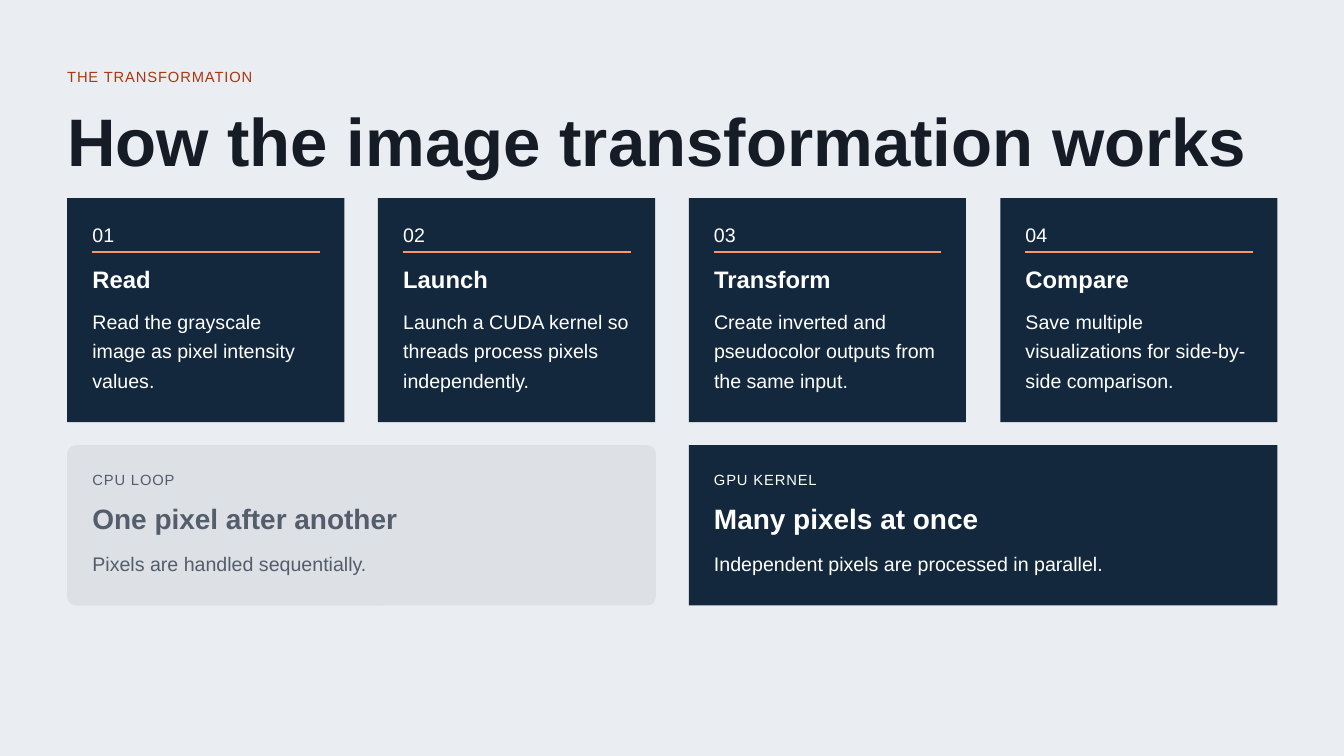
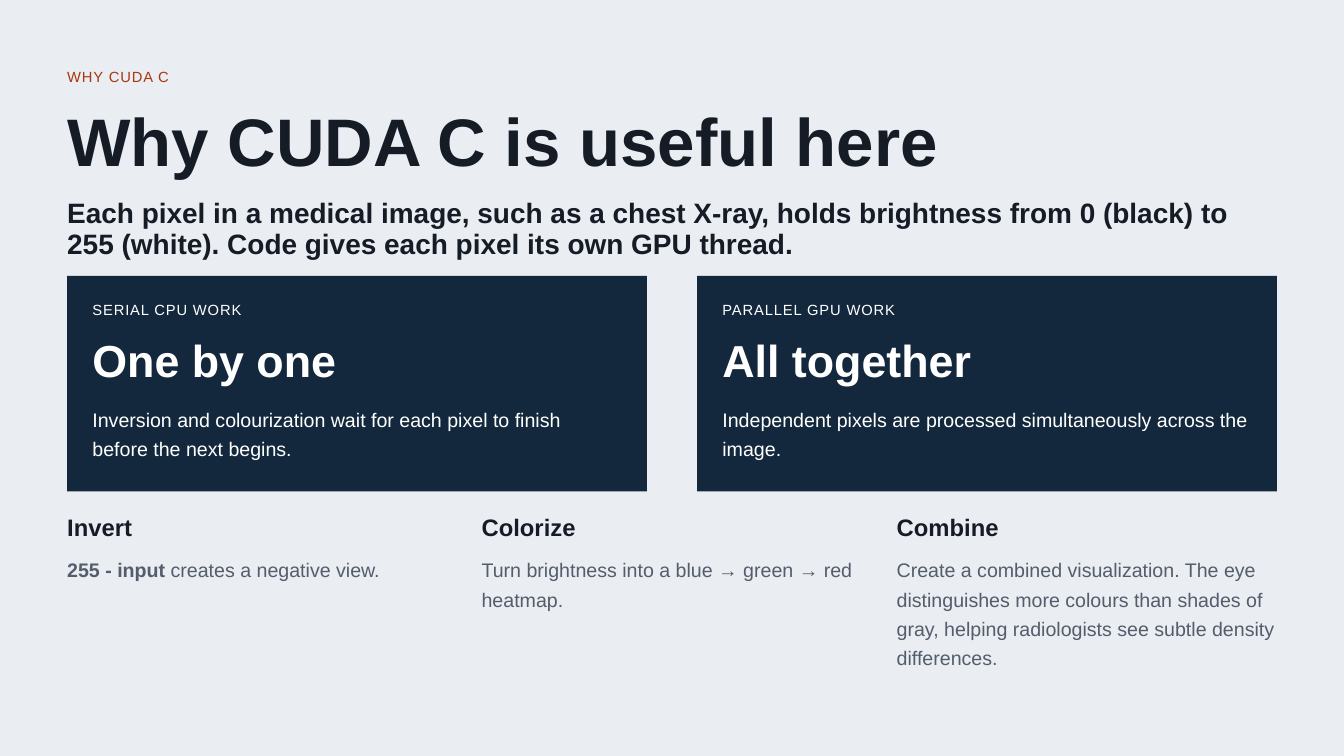
"""Build two slides on image transformation with CUDA C."""
from pptx import Presentation
from pptx.dml.color import RGBColor
from pptx.enum.shapes import MSO_CONNECTOR, MSO_SHAPE
from pptx.enum.text import MSO_ANCHOR, MSO_AUTO_SIZE, PP_ALIGN
from pptx.oxml.ns import qn
from pptx.util import Pt
from lxml import etree

PX = 9525
LEFT, CONTENT_WIDTH, GAP, PADDING = 96, 1729, 48, 36
PAPER, INK, NAVY, WHITE = "EAEDF2", "161C26", "13283D", "FFFFFF"
RUST, CORAL, SLATE, MIST = "A8380F", "FF9466", "545D6B", "DDE0E5"

# size, line spacing, bold, letter spacing in hundredths of a point
LABEL = (15.8, 23.6, False, 90)
TITLE = (72, 79.5, True, 0)
BIG_HEADING = (48, 53, True, 0)
HEADING = (30, 33.1, True, 0)
SUBHEADING = (25.5, 28.2, True, 0)
NUMBER = (21, 20.9, False, 0)
BODY = (21, 31.5, False, 0)


def write(slide, bounds, style, color, *texts, box=None):
    x, y, width, height = (value * PX for value in bounds)
    if box is None:
        box = slide.shapes.add_textbox(x, y, width, height)
    box.left, box.top, box.width, box.height = x, y, width, height
    frame = box.text_frame
    frame.word_wrap = True
    frame.auto_size = MSO_AUTO_SIZE.SHAPE_TO_FIT_TEXT
    frame.vertical_anchor = MSO_ANCHOR.TOP
    frame.margin_left = frame.margin_top = frame.margin_right = frame.margin_bottom = 0
    size, spacing, bold, tracking = style
    paragraph = frame.paragraphs[0]
    paragraph.alignment = PP_ALIGN.LEFT
    paragraph.line_spacing = Pt(spacing)
    for text in texts:
        run = paragraph.add_run()
        run.text = text
        run.font.name = "Arial"
        run.font.size = Pt(size)
        run.font.bold = bold
        run.font.color.rgb = RGBColor.from_string(color)
        if tracking:
            run.font._element.set("spc", str(tracking))
    return paragraph


def add_panel(slide, x, y, width, height, color, radius=0):
    kind = MSO_SHAPE.ROUNDED_RECTANGLE if radius else MSO_SHAPE.RECTANGLE
    panel = slide.shapes.add_shape(kind, x * PX, y * PX, width * PX, height * PX)
    if radius:
        panel.adjustments[0] = radius / height
    panel.shadow.inherit = False
    panel.fill.solid()
    panel.fill.fore_color.rgb = RGBColor.from_string(color)
    panel.line.fill.background()


prs = Presentation()
prs.slide_width, prs.slide_height = 1920 * PX, 1080 * PX
backdrop = prs.slide_master.background.fill
backdrop.solid()
backdrop.fore_color.rgb = RGBColor.from_string(PAPER)

slides = []
for kicker, title in [
    ("THE TRANSFORMATION", "How the image transformation works"),
    ("WHY CUDA C", "Why CUDA C is useful here"),
]:
    slide = prs.slides.add_slide(prs.slide_layouts[5])
    write(slide, (LEFT, 90, CONTENT_WIDTH, 37), LABEL, RUST, kicker)
    write(slide, (LEFT, 151, CONTENT_WIDTH, 102), TITLE, INK, title, box=slide.shapes.title)
    slides.append(slide)
transformation, usefulness = slides

steps = [
    ("Read", "Read the grayscale image as pixel intensity values."),
    ("Launch", "Launch a CUDA kernel so threads process pixels independently."),
    ("Transform", "Create inverted and pseudocolor outputs from the same input."),
    ("Compare", "Save multiple visualizations for side-by-side comparison."),
]
step_pitch = (CONTENT_WIDTH + GAP) / len(steps)
step_width = round(step_pitch) - GAP
for index, (name, detail) in enumerate(steps):
    x = LEFT + round(index * step_pitch)
    inner_x, inner_width = x + PADDING, step_width - 2 * PADDING + 1
    add_panel(transformation, x, 283, step_width, 320, NAVY)
    write(transformation, (inner_x, 324, 130, 24), NUMBER, WHITE, f"{index + 1:02}")
    rule = transformation.shapes.add_connector(
        MSO_CONNECTOR.STRAIGHT, inner_x * PX, 360 * PX, (inner_x + inner_width) * PX, 360 * PX)
    rule.line.color.rgb = RGBColor.from_string(CORAL)
    rule.line.width = Pt(2)
    etree.SubElement(rule._element.spPr, qn("a:effectLst"))
    write(transformation, (inner_x, 381, inner_width, 36), SUBHEADING, WHITE, name)
    write(transformation, (inner_x, 434, inner_width, 133), BODY, WHITE, detail)

approaches = [
    ("CPU LOOP", "One pixel after another", "Pixels are handled sequentially.", MIST, SLATE, 12),
    ("GPU KERNEL", "Many pixels at once", "Independent pixels are processed in parallel.", NAVY, WHITE, 0),
]
approach_pitch = (CONTENT_WIDTH + GAP) / len(approaches)
approach_width = round(approach_pitch) - GAP + 1
for index, (label, heading, detail, fill, color, radius) in enumerate(approaches):
    x = LEFT + round(index * approach_pitch)
    inner_x, inner_width = x + PADDING, approach_width - 2 * PADDING
    add_panel(transformation, x, 636, approach_width, 229, fill, radius)
    write(transformation, (inner_x, 666, inner_width, 37), LABEL, color, label)
    write(transformation, (inner_x, 721, inner_width, 43), HEADING, color, heading)
    write(transformation, (inner_x, 780, inner_width, 49), BODY, color, detail)

write(usefulness, (LEFT, 283, CONTENT_WIDTH, 87), HEADING, INK,
      "Each pixel in a medical image, such as a chest X-ray, holds brightness from 0 (black) "
      "to 255 (white). Code gives each pixel its own GPU thread.")

workloads = [
    ("SERIAL CPU WORK", "One by one",
     "Inversion and colourization wait for each pixel to finish before the next begins."),
    ("PARALLEL GPU WORK", "All together",
     "Independent pixels are processed simultaneously across the image."),
]
workload_gap = 72
workload_pitch = (CONTENT_WIDTH + workload_gap) / len(workloads)
workload_width = round(workload_pitch) - workload_gap
for index, (label, heading, detail) in enumerate(workloads):
    x = LEFT + round(index * workload_pitch)
    inner_x, inner_width = x + PADDING, workload_width - 2 * PADDING
    add_panel(usefulness, x, 394, workload_width, 308, NAVY)
    write(usefulness, (inner_x, 423, inner_width, 37), LABEL, WHITE, label)
    write(usefulness, (inner_x, 481, inner_width, 68), BIG_HEADING, WHITE, heading)
    write(usefulness, (inner_x, 574, inner_width, 91), BODY, WHITE, detail)

outputs = [
    ("Invert", ["255 - input", " creates a negative view."], 1),
    ("Colorize", ["Turn brightness into a blue → green → red heatmap."], 2),
    ("Combine", ["Create a combined visualization. The eye distinguishes more colours than shades of "
                 "gray, helping radiologists see subtle density differences."], 4),
]
output_pitch = (CONTENT_WIDTH + GAP) / len(outputs)
output_width = round(output_pitch) - GAP + 1
for index, (name, detail, line_count) in enumerate(outputs):
    x = LEFT + round(index * output_pitch)
    write(usefulness, (x, 736, output_width, 36), SUBHEADING, INK, name)
    description = write(usefulness, (x, 789, output_width, 7 + 42 * line_count), BODY, SLATE, *detail)
    if len(detail) > 1:
        description.runs[0].font.bold = True

prs.save("out.pptx")
